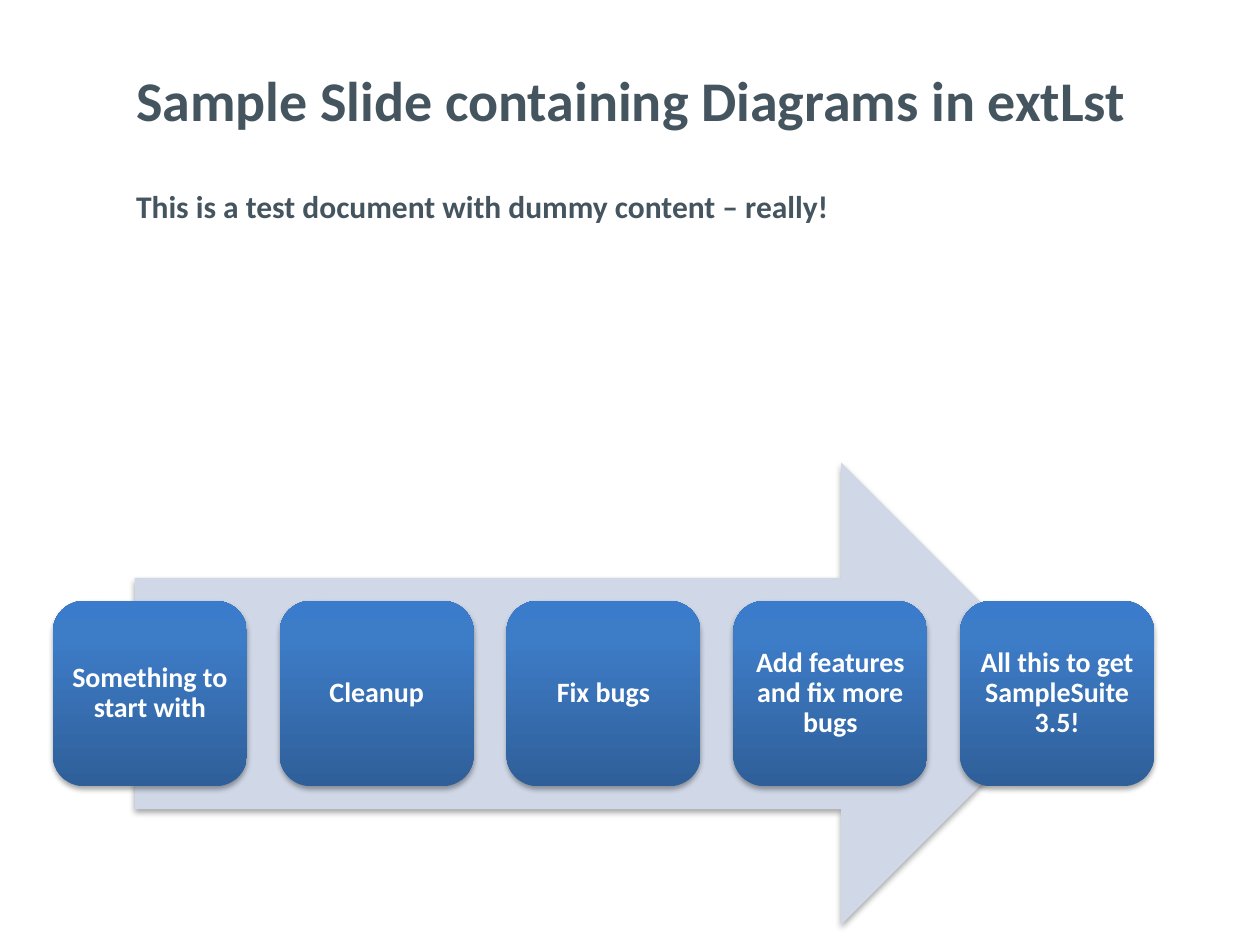
from lxml import etree
from pptx import Presentation, util as u
from pptx.dml.color import RGBColor
from pptx.enum import shapes, text
from pptx.oxml.ns import qn

TITLE = "Sample Slide containing Diagrams in extLst"
BODY = "This is a test document with dummy content – really!"
STEPS = [
    "Something to start with",
    "Cleanup",
    "Fix bugs",
    "Add features and fix more bugs",
    "All this to get SampleSuite 3.5!",
]
COLORS = {"ink": "455560", "arrow": "D0D8E8", "label": "FFFFFF", "shadow": "000000"}
GRADIENT = [(0, "2F5F99"), (80, "3D7CC7"), (100, "3A7CCB")]
FONT = "Calibri"
WIDTH, HEIGHT = 10, 7.5
ARROW = (1.07, 3.67, 7.44, 3.67)
STEP_LEFT, STEP_PITCH = 0.42, 1.8
STEP_WIDTH, STEP_HEIGHT = 1.54, 1.47
STEP_INSET = 0.14


def inches(*lengths):
    return [u.Inches(length) for length in lengths]


def write(shape, words, size, color, align, anchor, inset, spacing, after):
    frame = shape.text_frame
    frame.text = words
    frame.word_wrap = True
    frame.auto_size = text.MSO_AUTO_SIZE.NONE
    frame.vertical_anchor = anchor
    frame.margin_left = frame.margin_right = u.Inches(inset)
    frame.margin_top = frame.margin_bottom = u.Inches(inset)
    para = frame.paragraphs[0]
    para.alignment = align
    para.line_spacing = spacing
    para.space_before = u.Pt(0)
    para.space_after = u.Pt(after)
    font = para.runs[0].font
    font.name, font.size, font.bold = FONT, u.Pt(size), True
    font.color.rgb = RGBColor.from_string(COLORS[color])
    return para


def place(shape, left, top, width, height):
    shape.left, shape.top, shape.width, shape.height = inches(left, top, width, height)


def add_shadowed(group, kind, box):
    shape = group.shapes.add_shape(kind, *inches(*box))
    shape.line.fill.background()
    shape.shadow.inherit = False
    effects = shape._element.spPr.find(qn("a:effectLst"))
    shadow = etree.SubElement(
        effects, qn("a:outerShdw"), blurRad=str(u.Pt(3.1)), dist=str(u.Pt(1.8)),
        dir="5400000", rotWithShape="0")
    color = etree.SubElement(shadow, qn("a:srgbClr"), val=COLORS["shadow"])
    etree.SubElement(color, qn("a:alpha"), val="35000")
    return shape


def fill_gradient(shape):
    shape.fill.gradient()
    shape.fill.gradient_angle = 90
    stops = shape._element.spPr.find(qn("a:gradFill")).find(qn("a:gsLst"))
    for stop in list(stops):
        stops.remove(stop)
    for percent, color in GRADIENT:
        stop = etree.SubElement(stops, qn("a:gs"), pos=str(percent * 1000))
        etree.SubElement(stop, qn("a:srgbClr"), val=color)


def main():
    deck = Presentation()
    deck.slide_width, deck.slide_height = inches(WIDTH, HEIGHT)
    page = deck.slides.add_slide(deck.slide_layouts[1])

    title, body = page.shapes.title, page.placeholders[1]
    place(title, 1.08, 0.28, 8.14, 1.08)
    write(title, TITLE, 32, "ink", text.PP_ALIGN.LEFT, text.MSO_ANCHOR.MIDDLE, 0, 0.89, 0)
    place(body, 1.08, 1.5, 7.76, 4.87)
    para = write(body, BODY, 18, "ink", text.PP_ALIGN.LEFT, text.MSO_ANCHOR.TOP, 0, 0.98, 8.6)
    properties = para._p.get_or_add_pPr()
    properties.set("marL", str(u.Inches(1.13)))
    properties.set("indent", str(-u.Inches(1.13)))
    etree.SubElement(properties, qn("a:buNone"))

    process = page.shapes.add_group_shape()
    arrow = add_shadowed(process, shapes.MSO_SHAPE.RIGHT_ARROW, ARROW)
    arrow.fill.solid()
    arrow.fill.fore_color.rgb = RGBColor.from_string(COLORS["arrow"])

    step_top = ARROW[1] + (ARROW[3] - STEP_HEIGHT) / 2
    for index, words in enumerate(STEPS):
        box = (STEP_LEFT + index * STEP_PITCH, step_top, STEP_WIDTH, STEP_HEIGHT)
        step = add_shadowed(process, shapes.MSO_SHAPE.ROUNDED_RECTANGLE, box)
        fill_gradient(step)
        write(step, words, 16, "label", text.PP_ALIGN.CENTER, text.MSO_ANCHOR.MIDDLE,
              STEP_INSET - 0.07, 0.9, 5.6)

    deck.save("out.pptx")


if __name__ == "__main__":
    main()
